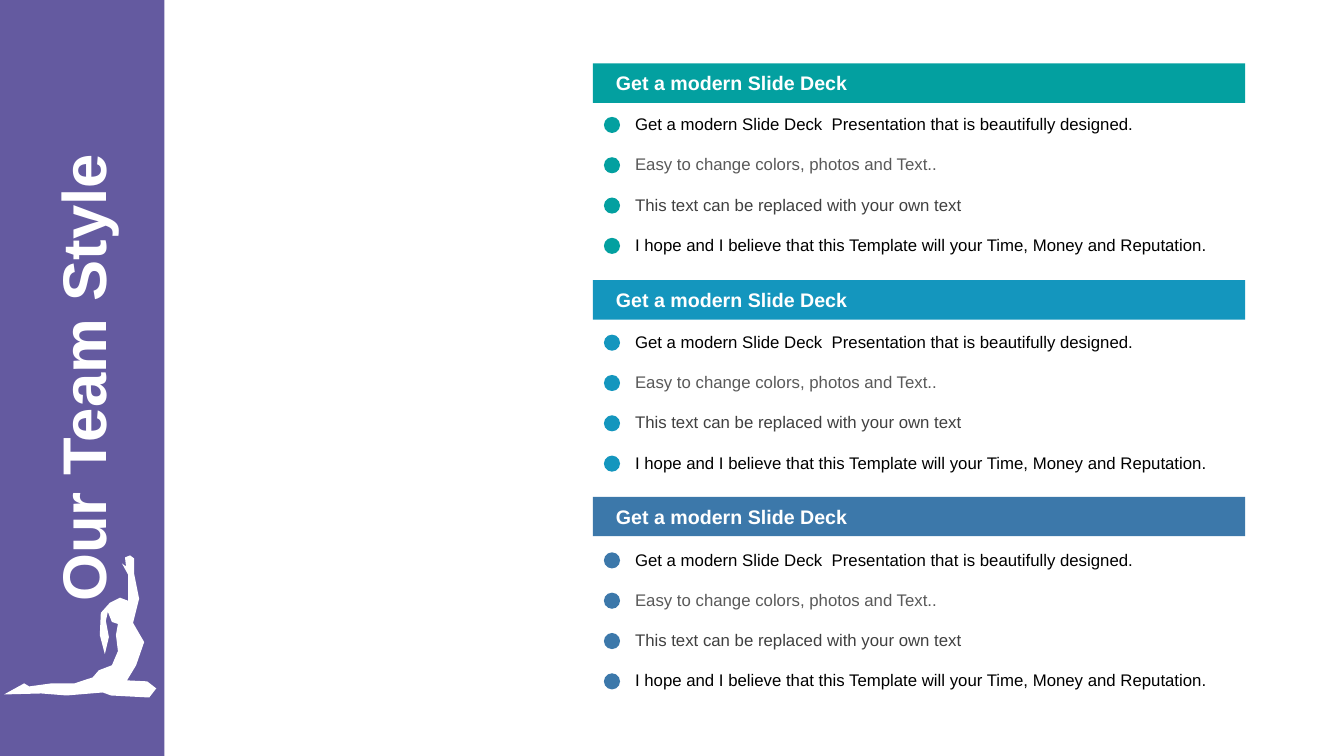
"""Build the "Our Team Style" slide with three coloured bullet sections."""
from dataclasses import dataclass

import pptx
import pptx.dml.color
import pptx.enum.shapes
import pptx.enum.text
import pptx.shapes.autoshape
import pptx.slide
import pptx.util

Inches = pptx.util.Inches
RGBColor = pptx.dml.color.RGBColor
Shape = pptx.shapes.autoshape.Shape
Slide = pptx.slide.Slide
MSO_SHAPE = pptx.enum.shapes.MSO_SHAPE
MSO_ANCHOR = pptx.enum.text.MSO_ANCHOR
MSO_AUTO_SIZE = pptx.enum.text.MSO_AUTO_SIZE
PP_ALIGN = pptx.enum.text.PP_ALIGN

PURPLE = RGBColor.from_string("645AA0")
TEAL = RGBColor.from_string("03A0A0")
SKY = RGBColor.from_string("1496BE")
STEEL = RGBColor.from_string("3C78AA")
WHITE = RGBColor.from_string("FFFFFF")
BLACK = RGBColor.from_string("000000")
GRAY = RGBColor.from_string("595959")
DARK_GRAY = RGBColor.from_string("404040")

TITLE_FONT = {"name": "Arial", "size": pptx.util.Pt(44), "bold": True}
HEADING_FONT = {"name": "Arial", "size": pptx.util.Pt(14), "bold": True}
POINT_FONT = {"name": "Arial", "size": pptx.util.Pt(12), "bold": False}
GROWING_FRAME = {"word_wrap": True, "auto_size": MSO_AUTO_SIZE.SHAPE_TO_FIT_TEXT}
HEADING_FRAME = {"word_wrap": True, "vertical_anchor": MSO_ANCHOR.MIDDLE}

SECTION_PITCH = 2.15
POINTS_PITCH = 2.16
POINT_PITCH = 0.4
HEADING = "Get a modern Slide Deck"


@dataclass(frozen=True)
class Box:
    left: float
    top: float
    width: float
    height: float

    def lengths(self) -> list[pptx.util.Length]:
        return [Inches(v) for v in (self.left, self.top, self.width, self.height)]


@dataclass(frozen=True)
class Point:
    text: str
    color: RGBColor


POINTS = [
    Point("Get a modern Slide Deck  Presentation that is beautifully designed.", BLACK),
    Point("Easy to change colors, photos and Text..", GRAY),
    Point("This text can be replaced with your own text", DARK_GRAY),
    Point("I hope and I believe that this Template will your Time, Money and Reputation.", BLACK),
]

YOGA_OUTLINE = [
    (4, 689), (24, 678), (29, 681), (51, 678), (74, 678), (92, 672),
    (98, 665), (111, 660), (117, 646), (115, 630), (117, 619), (111, 617),
    (107, 607), (105, 616), (108, 632), (104, 649), (99, 630), (100, 608),
    (109, 598), (119, 593), (127, 596), (127, 570), (121, 559), (125, 562),
    (124, 553), (129, 551), (133, 554), (133, 569), (138, 594), (132, 618),
    (143, 637), (135, 660), (126, 675), (146, 676), (155, 683), (148, 692),
    (110, 690), (102, 687), (66, 690), (41, 688),
]


def paint(shape: Shape, color: RGBColor) -> None:
    shape.shadow.inherit = False
    shape.fill.solid()
    shape.fill.fore_color.rgb = color
    shape.line.fill.background()


def add_block(slide: Slide, kind: MSO_SHAPE, box: Box, color: RGBColor) -> None:
    paint(slide.shapes.add_shape(kind, *box.lengths()), color)


def add_text(slide: Slide, box: Box, text: str, color: RGBColor, font: dict, frame: dict) -> Shape:
    label = slide.shapes.add_textbox(*box.lengths())
    run = label.text_frame.paragraphs[0].add_run()
    run.text = text
    run.font.color.rgb = color
    for target, values in ((run.font, font), (label.text_frame, frame)):
        for attribute, value in values.items():
            setattr(target, attribute, value)
    return label


def add_sidebar(slide: Slide) -> None:
    add_block(slide, MSO_SHAPE.RECTANGLE, Box(0, 0, 1.63, 7.5), PURPLE)
    title = add_text(slide, Box(-2.02, 3.33, 5.67, 0.84), "Our Team Style",
                     WHITE, TITLE_FONT, GROWING_FRAME)
    title.rotation = 270
    title.text_frame.paragraphs[0].alignment = PP_ALIGN.CENTER


def add_section(slide: Slide, index: int, color: RGBColor) -> None:
    top = 0.63 + index * SECTION_PITCH
    add_block(slide, MSO_SHAPE.RECTANGLE, Box(5.88, top, 6.47, 0.39), color)
    add_text(slide, Box(6.01, top + 0.04, 3.62, 0.31), HEADING, WHITE, HEADING_FONT, HEADING_FRAME)
    for row, point in enumerate(POINTS):
        row_top = 1.08 + index * POINTS_PITCH + row * POINT_PITCH
        add_text(slide, Box(6.2, row_top, 6.28, 0.3), point.text, point.color,
                 POINT_FONT, GROWING_FRAME)
        add_block(slide, MSO_SHAPE.OVAL, Box(5.99, row_top + 0.08, 0.16, 0.16), color)


def add_yoga_figure(slide: Slide) -> None:
    start, *rest = YOGA_OUTLINE
    builder = slide.shapes.build_freeform(*start, scale=Inches(0.01))
    builder.add_line_segments(rest, close=True)
    paint(builder.convert_to_shape(), WHITE)


def main() -> None:
    presentation = pptx.Presentation()
    presentation.slide_width = Inches(13.33)
    presentation.slide_height = Inches(7.5)
    slide = presentation.slides.add_slide(presentation.slide_layouts[6])
    add_sidebar(slide)
    for index, color in enumerate((TEAL, SKY, STEEL)):
        add_section(slide, index, color)
    add_yoga_figure(slide)
    presentation.save("out.pptx")


if __name__ == "__main__":
    main()
